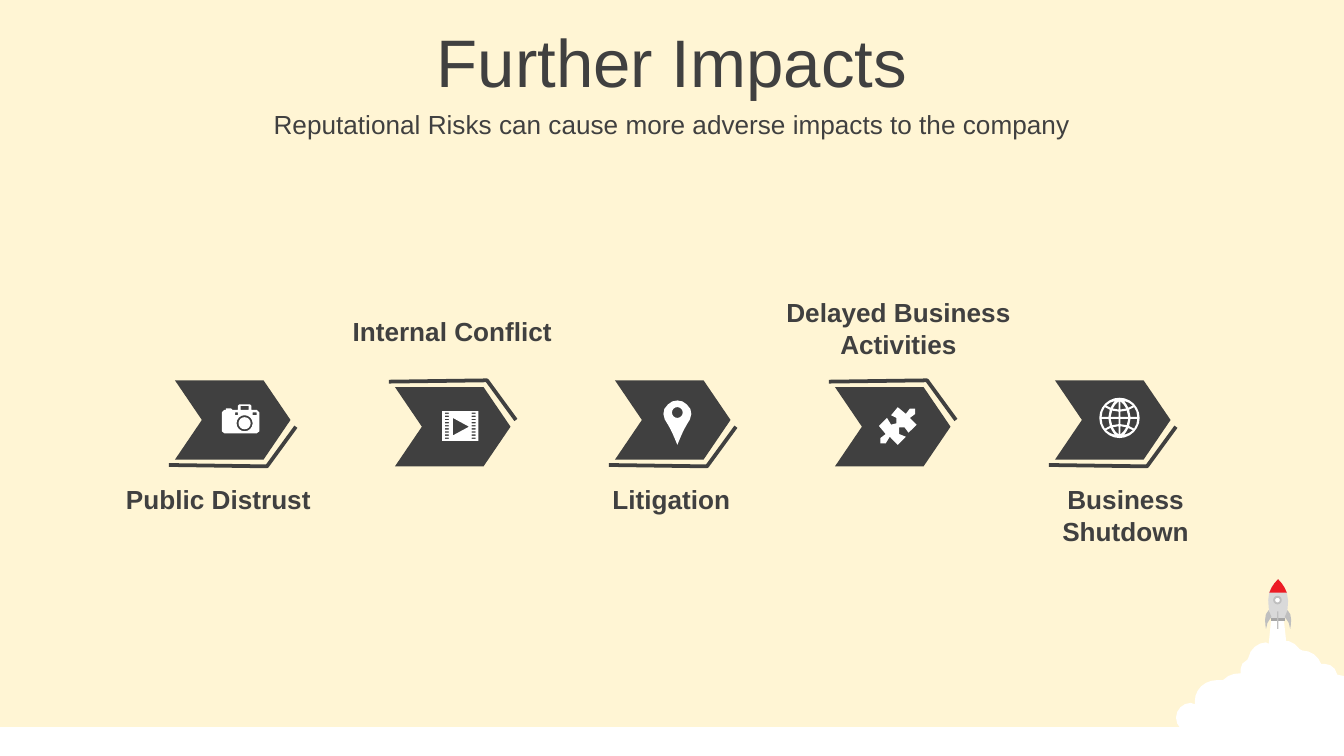
from math import cos, dist, sin, tau

from pptx import Presentation
from pptx.dml.color import RGBColor
from pptx.enum.shapes import MSO_SHAPE as Preset
from pptx.enum.text import MSO_ANCHOR as Anchor, PP_ALIGN as Align
from pptx.util import Inches, Pt

COLORS = {
    "cream": "FFF5D4", "ink": "404040", "white": "FFFFFF", "red": "ED1C24",
    "hull": "D9D9D9", "fin": "BFBFBF", "base": "A6A6A6",
}
COLUMNS, ROWS = 100, 56.25
WIDTH, HEIGHT = Inches(10), Inches(5.625)
CELL = WIDTH / COLUMNS

CLOUD = """M 71 0 L 80 0 82 18 84 18 C 87 19 90 21 92 24 L 94 25
    C 100 25 106 29 108 35 L 111 35 C 115 35 119 38 120 43
    L 125 44 125 101 123 101 C 119 101 115 100 112 98 L 110 98
    C 108 99 106 100 103 100 100 100 98 98 96 96 L 94 96
    C 92 99 89 100 85 100 82 100 79 99 77 97 L 74 97
    C 70 100 65 102 59 102 48 102 42 97 38 92 36 94 32 95 29 94
    25 93 19 91 18 86 L 17 85 C 16 86 14 86 11 86 5 86 0 81 0 75
    0 69 5 64 11 64 L 14 65 14 63 C 14 54 21 47 31 47 L 35 47
    C 39 43 43 42 48 42 L 48 39 C 48 36 50 33 53 32 L 54 30
    C 55 24 61 19 67 19 L 69 20"""
HULL = "M -5 31 C -7 22 -11 9 0 0 C 11 10 7 23 5 31"
NOSE = "M 0 0 C 3 3 5 6 6.5 10 L -6.5 10 C -5 6 -3 3 0 0"
FIN = "M 7 23 L 5 28 C 8.5 30 8 35 9 37 C 9.5 34 11 26 7 23"

CAMERA_BODY = """M 13 0 L 21 0 22 1 22 4 26 4 28 6 28 20 26 21.5
    2 21.5 0 20 0 6 2 4 3 4 3 3 7 3 8 4 12 4 12 1"""
PIN_BODY = """M 0 0 C 3 0 5 1 7 3 12 7 11 13 7 18 4 23 3 26 0 33
    -3 26 -4 23 -7 18 -11 13 -12 7 -7 3 -5 1 -3 0 0 0"""
PUZZLE_PIECE = """M 27 1 C 28 2 28 4 27 5 26 7 24 6 23 8 L 28 13 22 19
    C 20 18 21 16 19 15 18 14 17 14 15 15 15 16 14 18 15 20
    17 21 18 20 20 22 L 14 28 8 22 C 6 24 7 25 5 27 4 28 2 28 1 27
    0 26 0 24 1 23 2 21 4 22 5 20 L 0 14 6 8 C 8 10 7 11 9 13
    10 14 12 13 13 12 14 11 14 9 13 8 11 7 10 8 9 6 L 14 0 20 5
    C 22 4 21 3 23 1 24 0 26 0 27 1"""
GLOBE_GAPS = [
    "M 0.7 0.7 L 0.7 4.7 C 2.4 4.8 4 5 5.4 5.4 6.2 4 6.5 2.4 6.6 0.7",
    """M 8.2 0.7 C 8.2 2.6 7.8 4.5 7.2 6.1 8.6 6.6 9.8 7.2 10.9 8
    12.4 6 13.2 3.6 13.3 0.7""",
    "M 0.7 6.2 L 0.7 12.4 C 2.4 11 3.9 9.2 5 7 3.6 6.6 2.2 6.3 0.7 6.2",
    """M 6.6 7.5 C 5.7 9.4 4.7 11 3.4 12.6 6 12 8.2 10.9 10 9.2
    9 8.5 7.8 8 6.6 7.5""",
]


def curve(a, b, c, d):
    """Points on a cubic curve, without its start; longer curves get more."""
    steps = min(6, max(1, round(dist(a, d) / 4)))
    for step in range(1, steps + 1):
        t = step / steps
        weights = (1 - t) ** 3, 3 * t * (1 - t) ** 2, 3 * t * t * (1 - t), t ** 3
        yield tuple(sum(w * p[axis] for w, p in zip(weights, (a, b, c, d)))
                    for axis in (0, 1))


def trace(drawing):
    """Turn M, L and C commands into one list of points."""
    points, pending, command, number = [], [], "M", None
    for token in drawing.split():
        if token in "MLC":
            command = token
        elif number is None:
            number = float(token)
        else:
            pending.append((number, float(token)))
            number = None
            if command != "C":
                points += pending
                pending = []
            elif len(pending) == 3:
                points += curve(points[-1], *pending)
                pending = []
    return points


def box(x, y, width, height):
    return [(x, y), (x + width, y), (x + width, y + height), (x, y + height)]


def circle(x, y, radius, corners=16):
    return [(x + radius * cos(tau * i / corners), y + radius * sin(tau * i / corners))
            for i in range(corners)]


def mirror(points, x=1, y=1):
    return [(x * px, y * py) for px, py in points]


class Deck:
    """Places elements in grid cells; outlines use tenths of a cell."""

    def __init__(self):
        self.show = Presentation()
        self.show.slide_width, self.show.slide_height = WIDTH, HEIGHT
        self.slide = self.show.slides.add_slide(self.show.slide_layouts[6])
        background = self.slide.background.fill
        background.solid()
        background.fore_color.rgb = self.color("cream")

    def color(self, name):
        return RGBColor.from_string(COLORS[name])

    def cells(self, *lengths):
        return [round(length * CELL) for length in lengths]

    def paint(self, shape, fill=None, line=None, weight=1):
        shape.shadow.inherit = False
        if fill:
            shape.fill.solid()
            shape.fill.fore_color.rgb = self.color(fill)
        else:
            shape.fill.background()
        if line:
            shape.line.color.rgb = self.color(line)
            shape.line.width = Pt(weight)
        else:
            shape.line.fill.background()
        return shape

    def preset(self, kind, *area, **look):
        return self.paint(self.slide.shapes.add_shape(kind, *self.cells(*area)), **look)

    def outline(self, column, row, *contours, closed=True, **look):
        placed = [[self.cells(column + x / 10, row + y / 10) for x, y in contour]
                  for contour in contours]
        pen = self.slide.shapes.build_freeform(*placed[0][0], scale=1.0)
        for index, contour in enumerate(placed):
            if index:
                pen.move_to(*contour[0])
            pen.add_line_segments(contour[1:], close=closed)
        return self.paint(pen.convert_to_shape(), **look)

    def text(self, words, *area, size=14, bold=False, anchor=Anchor.TOP, before=0):
        frame = self.slide.shapes.add_textbox(*self.cells(*area)).text_frame
        frame.word_wrap = True
        frame.vertical_anchor = anchor
        paragraph = frame.paragraphs[0]
        paragraph.alignment = Align.CENTER
        paragraph.space_before = Pt(before)
        run = paragraph.add_run()
        run.text = words
        run.font.name, run.font.size, run.font.bold = "Arial", Pt(size), bold
        run.font.color.rgb = self.color("ink")


def draw_rocket(deck):
    deck.preset(Preset.RECTANGLE, 0, 54.1, COLUMNS, ROWS - 54.1, fill="white")
    deck.outline(87.5, 45.9, trace(CLOUD), fill="white")
    nose = 95.1, 43.1
    deck.outline(*nose, trace(HULL), fill="hull")
    deck.outline(*nose, box(-5, 29, 10, 2.5), fill="base")
    deck.outline(*nose, trace(NOSE), fill="red")
    deck.preset(Preset.OVAL, 94.8, 44.4, 0.5, 0.5, fill="white", line="fin")
    deck.preset(Preset.RECTANGLE, 95.02, 45.5, 0.1, 1.3, fill="fin")
    for side in (-1, 1):
        deck.outline(*nose, mirror(trace(FIN), x=side), fill="fin")


def main():
    deck = Deck()
    draw_rocket(deck)
    deck.text("Further Impacts", 0, 1.4, COLUMNS, 6.3, size=36,
              anchor=Anchor.MIDDLE, before=4)
    deck.text("Reputational Risks can cause more adverse impacts to the company",
              0, 7.7, COLUMNS, 3.1, anchor=Anchor.MIDDLE, before=1)

    camera = [circle(17, 14, 4.5), circle(17, 14, 6), box(10, 6, 2, 2),
              box(23, 6, 3, 2), box(14, 1, 6, 3), trace(CAMERA_BODY)]
    film = [box(x, 1 + 2.33 * i, 3, 1) for i in range(9) for x in (2, 22)]
    film += [[(8, 5), (8, 18), (20, 11.5)], box(0, 0, 27, 22)]
    pin = [circle(0, 9, 4), trace(PIN_BODY)]
    globe = [mirror(trace(gap), x, y) for gap in GLOBE_GAPS
             for x in (-1, 1) for y in (-1, 1)] + [circle(0, 0, 15, corners=24)]

    impacts = [  # caption, its column, row and height; icon, its column and row
        ("Public Distrust", 6.3, 35.5, 3.4, camera, 16.5, 30.1),
        ("Internal Conflict", 23.7, 23, 3.4, film, 32.9, 30.6),
        ("Litigation", 40, 35.5, 3.4, pin, 50.4, 29.8),
        ("Delayed Business Activities", 56.9, 21.6, 5.7, [trace(PUZZLE_PIECE)], 65.4, 30.3),
        ("Business Shutdown", 73.8, 35.5, 5.7, globe, 83.3, 31.1),
    ]
    swoosh = [(90, 34.5), (68.5, 64), (-4.5, 63)]
    for index, (caption, left, top, height, icon, column, row) in enumerate(impacts):
        arrow_left, raised = 13.02 + 16.37 * index, index % 2
        arrow = deck.preset(Preset.CHEVRON, arrow_left, 28.8 if raised else 28.3,
                            8.6, 5.9, fill="ink")
        arrow.adjustments[0] = 0.34
        edge = [(x, 64 - y) for x, y in swoosh] if raised else swoosh
        deck.outline(arrow_left, 28.3, edge, closed=False, line="ink", weight=2)
        deck.outline(column, row, *icon, fill="white")
        deck.text(caption, left, top, 19.9, height, bold=True)

    deck.show.save("out.pptx")


if __name__ == "__main__":
    main()
